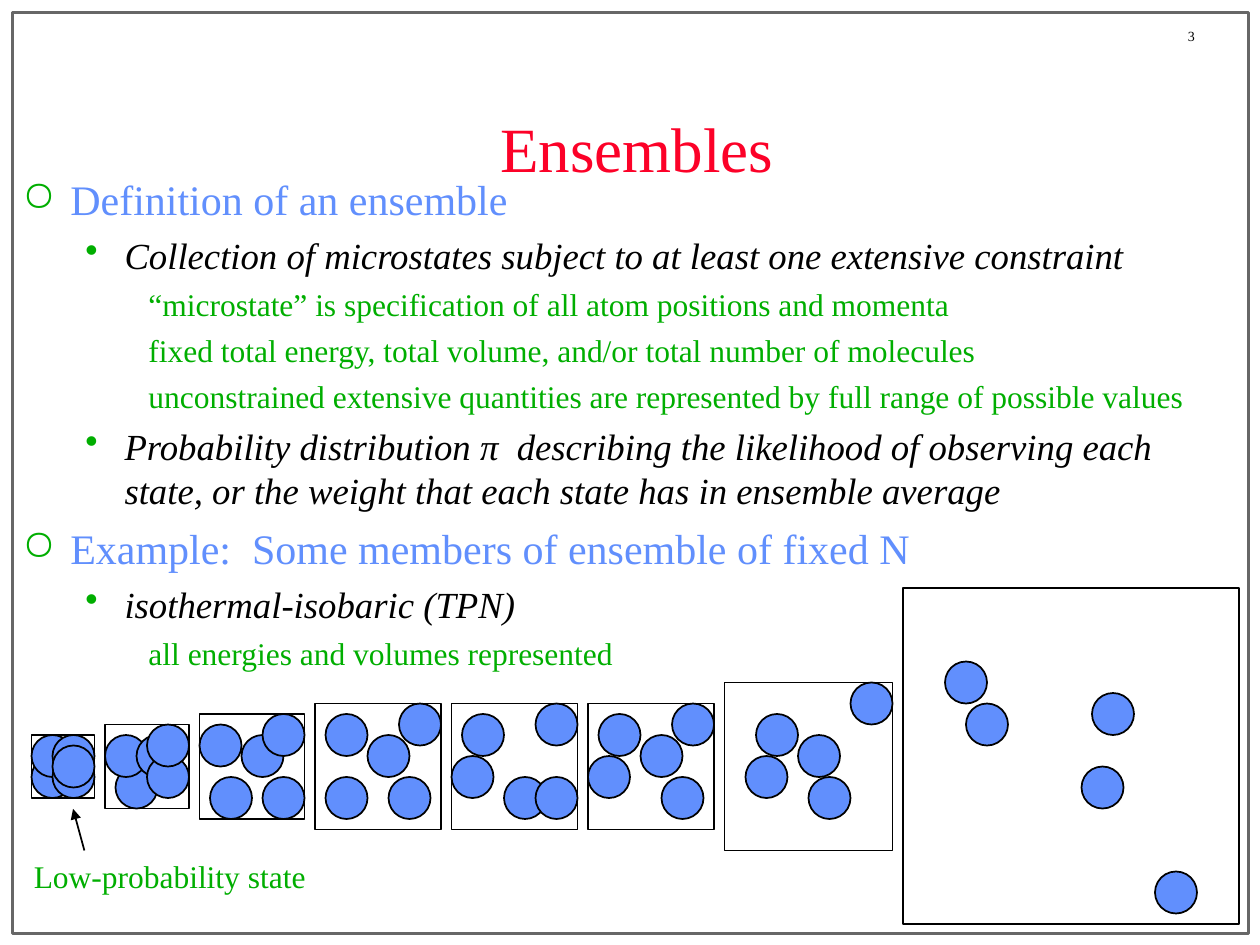
from lxml import etree
from pptx import Presentation
from pptx.dml.color import RGBColor
from pptx.enum import shapes, text
from pptx.oxml.ns import qn
from pptx.util import Inches, Pt

FONT = "Times New Roman"
BLACK = RGBColor(0x00, 0x00, 0x00)
GRAY = RGBColor(0x67, 0x67, 0x67)
RED = RGBColor(0xFC, 0x01, 0x28)
BLUE = RGBColor(0x61, 0x8F, 0xFD)
GREEN = RGBColor(0x00, 0xAE, 0x00)

# One entry per outline level
LEVELS = [
    dict(margin=0.38, indent=-0.38, bullet="○", before=6, size=24, color=BLUE),
    dict(margin=0.81, indent=-0.31, bullet="•", before=5.2, size=21, color=BLACK, italic=True),
    dict(margin=1.25, indent=-0.25, before=4.5, size=18, color=GREEN),
]

OUTLINE = [
    (0, "Definition of an ensemble"),
    (1, "Collection of microstates subject to at least one extensive constraint"),
    (2, "“microstate” is specification of all atom positions and momenta"),
    (2, "fixed total energy, total volume, and/or total number of molecules"),
    (2, "unconstrained extensive quantities are represented by full range of possible values"),
    (1, "Probability distribution π  describing the likelihood of observing each state, "
        "or the weight that each state has in ensemble average"),
    (0, "Example:  Some members of ensemble of fixed N"),
    (1, "isothermal-isobaric (TPN)"),
    (2, "all energies and volumes represented"),
]

# The ensemble members sit on a grid of twelfths of an inch
GRID = 1 / 12
MOLECULE = 4
FIRST_LEFT = 3
GAP = 1
MIDDLE = 73
FLOOR = 88

# Side of each container, and the molecule corners inside it
MEMBERS = [
    (6, [(0, 2), (0, 0), (2, 0), (2, 2), (2, 1)]),
    (8, [(1, 4), (0, 1), (3, 1), (4, 3), (4, 0)]),
    (10, [(1, 6), (0, 1), (4, 2), (6, 6), (6, 0)]),
    (12, [(1, 7), (1, 1), (5, 3), (7, 7), (8, 0)]),
    (12, [(0, 5), (1, 1), (5, 7), (8, 7), (8, 0)]),
    (12, [(0, 5), (1, 1), (5, 3), (7, 7), (8, 0)]),
    (16, [(2, 7), (3, 3), (7, 5), (8, 9), (12, 0)]),
    (32, [(6, 11), (4, 7), (24, 27), (17, 17), (18, 10)]),
]


def add_box(page, left, top, width, height, anchor=text.MSO_ANCHOR.TOP, wrap=True):
    box = page.shapes.add_textbox(Inches(left), Inches(top), Inches(width), Inches(height))
    frame = box.text_frame
    frame.word_wrap = wrap
    frame.vertical_anchor = anchor
    return frame


def write(para, words, size, color, italic=False, align=text.PP_ALIGN.LEFT,
          before=0, margin=0, indent=0, bullet=None):
    """Fill one paragraph; margin and indent are in inches."""
    para.alignment = align
    para.space_before = Pt(before)
    props = para._p.get_or_add_pPr()
    props.set("marL", str(Inches(margin)))
    props.set("indent", str(Inches(indent)))
    if bullet:
        tint = etree.SubElement(props, qn("a:buClr"))
        etree.SubElement(tint, qn("a:srgbClr"), val=str(GREEN))
        etree.SubElement(props, qn("a:buChar"), char=bullet)
    else:
        etree.SubElement(props, qn("a:buNone"))
    span = para.add_run()
    span.text = words
    span.font.name = FONT
    span.font.size = Pt(size)
    span.font.italic = italic
    span.font.color.rgb = color


def add_outline(page):
    frame = add_box(page, 0.08, 1.33, 9.75, 4.83)
    for index, (level, words) in enumerate(OUTLINE):
        para = frame.add_paragraph() if index else frame.paragraphs[0]
        para.level = level
        style = dict(LEVELS[level])
        if index == 0:
            style["before"] = 0
        write(para, words, **style)


def add_figure(page, kind, left, top, width, height, fill=None, line=BLACK, weight=1):
    figure = page.shapes.add_shape(kind, Inches(left), Inches(top), Inches(width), Inches(height))
    figure.shadow.inherit = False
    if fill is None:
        figure.fill.background()
    else:
        figure.fill.solid()
        figure.fill.fore_color.rgb = fill
    figure.line.color.rgb = line
    figure.line.width = Pt(weight)


def add_member(page, left, top, side, molecules):
    """Draw a container and its molecules, all in grid units."""
    add_figure(page, shapes.MSO_SHAPE.RECTANGLE,
               left * GRID, top * GRID, side * GRID, side * GRID)
    for x, y in molecules:
        add_figure(page, shapes.MSO_SHAPE.OVAL, (left + x) * GRID, (top + y) * GRID,
                   MOLECULE * GRID, MOLECULE * GRID, fill=BLUE)


def add_members(page):
    left = FIRST_LEFT
    for side, molecules in MEMBERS:
        top = min(MIDDLE - side // 2, FLOOR - side)
        add_member(page, left, top, side, molecules)
        left += side + GAP


def add_arrow(page, start, end):
    arrow = page.shapes.add_connector(
        shapes.MSO_CONNECTOR.STRAIGHT, *(Inches(value) for value in start + end))
    arrow.line.color.rgb = BLACK
    arrow.line.width = Pt(1)
    etree.SubElement(arrow.line._get_or_add_ln(), qn("a:tailEnd"), type="triangle")
    etree.SubElement(arrow._element.spPr, qn("a:effectLst"))


def main():
    deck = Presentation()
    deck.slide_width, deck.slide_height = Inches(10), Inches(7.5)
    page = deck.slides.add_slide(deck.slide_layouts[6])

    add_figure(page, shapes.MSO_SHAPE.RECTANGLE, 0.1, 0.1, 9.81, 7.31, line=GRAY, weight=2)
    number = add_box(page, 9.33, 0.17, 0.67, 0.23, wrap=False)
    write(number.paragraphs[0], "3", size=8, color=BLACK)
    title = add_box(page, 0.75, 0.67, 8.61, 0.99, anchor=text.MSO_ANCHOR.MIDDLE)
    write(title.paragraphs[0], "Ensembles", size=36, color=RED, align=text.PP_ALIGN.CENTER)
    add_outline(page)
    add_members(page)
    caption = add_box(page, 0.17, 6.75, 2.5, 0.4)
    write(caption.paragraphs[0], "Low-probability state", size=18, color=GREEN)
    add_arrow(page, (0.67, 6.75), (0.58, 6.42))

    deck.save("out.pptx")


if __name__ == "__main__":
    main()
